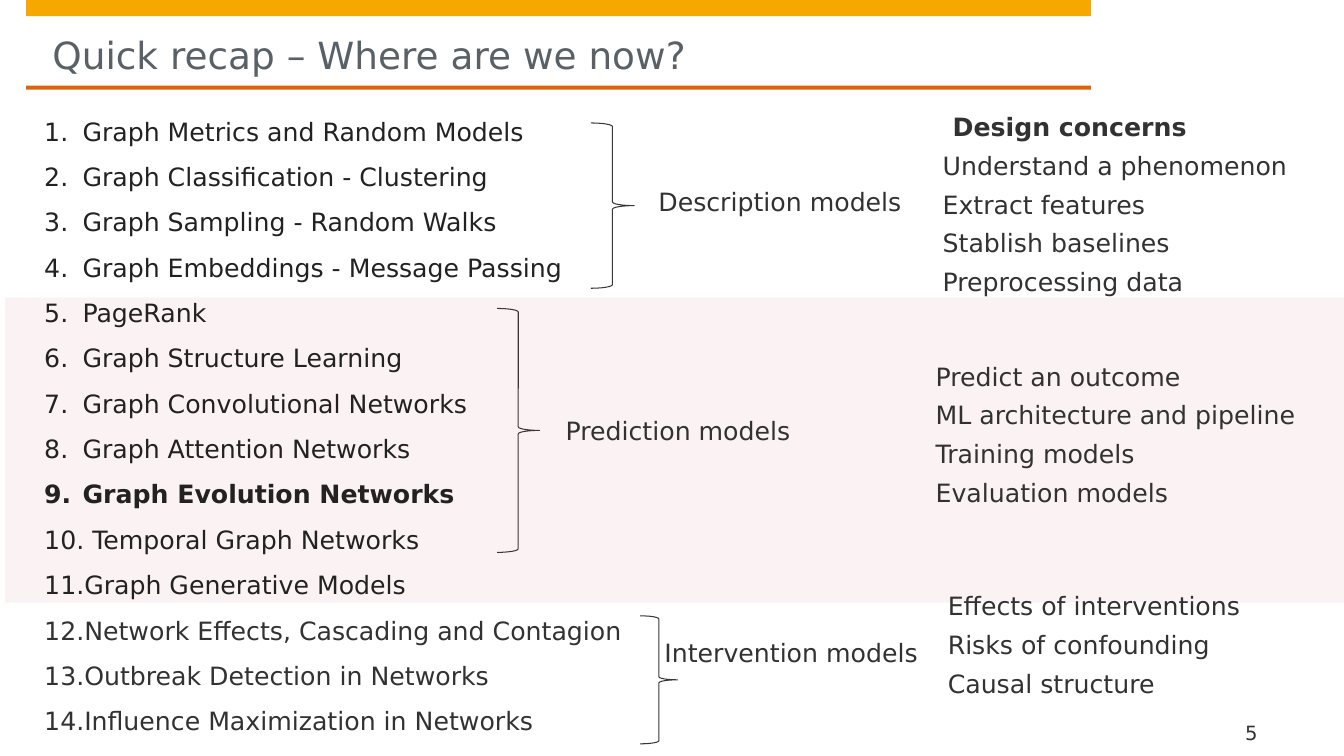
import pptx
import pptx.util
import pptx.dml.color
import pptx.enum.shapes
import pptx.enum.text
import pptx.oxml
import pptx.oxml.ns

Inches = pptx.util.Inches
kinds = pptx.enum.shapes.MSO_SHAPE
anchors = pptx.enum.text.MSO_ANCHOR


def color(code):
    return pptx.dml.color.RGBColor.from_string(code)


def write(box, lines, inset=(0, 0, 0, 0), size=18, anchor=anchors.TOP, gap=3, space=None):
    """Add a text box; each line is (text, colour, bold)."""
    frame = slide.shapes.add_textbox(*map(Inches, box)).text_frame
    sides = ("margin_left", "margin_top", "margin_right", "margin_bottom")
    look = dict(zip(sides, map(Inches, inset)), word_wrap=True, vertical_anchor=anchor)
    for name, value in look.items():
        setattr(frame, name, value)
    for i, (text, code, bold) in enumerate(lines):
        para = frame.paragraphs[0] if i == 0 else frame.add_paragraph()
        form = {"space_before": pptx.util.Pt(gap), "space_after": pptx.util.Pt(gap),
                "line_spacing": space}
        for name, value in form.items():
            setattr(para, name, value)
        run = para.add_run()
        run.text = text
        face = {"name": "DejaVu Sans", "size": pptx.util.Pt(size), "bold": bold}
        for name, value in face.items():
            setattr(run.font, name, value)
        run.font.color.rgb = color(code)
    return frame


deck = pptx.Presentation()
deck.slide_width, deck.slide_height = Inches(13.33), Inches(7.5)
slide = deck.slides.add_slide(deck.slide_layouts[6])

ink, dark = "323232", "222222"

# Title bars and the pale band
bars = [
    ((0.26, 0, 10.56, 0.16), "F6A800", None),
    ((0.26, 0.85, 10.56, 0.04), "DD640C", None),
    ((0.05, 2.95, 13.33, 3.03), "B1063A", 5),
]
for box, code, alpha in bars:
    bar = slide.shapes.add_shape(kinds.RECTANGLE, *map(Inches, box))
    bar.shadow.inherit = False
    bar.fill.solid()
    bar.fill.fore_color.rgb = color(code)
    bar.line.fill.background()
    if alpha:
        tint = bar.fill._xPr.find(".//" + pptx.oxml.ns.qn("a:srgbClr"))
        node = pptx.oxml.parse_xml(f'<a:alpha {pptx.oxml.ns.nsdecls("a")} val="{alpha * 1000}"/>')
        tint.append(node)

# Title and page number
write((0.52, 0.16, 10.03, 0.61), [("Quick recap – Where are we now?", "5A6166", False)],
      inset=(0, 0.16, 0, 0), size=26.7, gap=0)
write((12.23, 7.09, 0.84, 0.29), [("5", ink, False)],
      inset=(0.12, 0, 0, 0), size=14, anchor=anchors.BOTTOM, gap=0)

# Numbered topics
topics = [
    "Graph Metrics and Random Models",
    "Graph Classification - Clustering",
    "Graph Sampling - Random Walks",
    "Graph Embeddings - Message Passing",
    "PageRank",
    "Graph Structure Learning",
    "Graph Convolutional Networks",
    "Graph Attention Networks",
    "Graph Evolution Networks",
    " Temporal Graph Networks",
    "Graph Generative Models",
    "Network Effects, Cascading and Contagion",
    "Outbreak Detection in Networks",
    "Influence Maximization in Networks",
]
rows = [(text, dark if i < 11 else ink, i == 8) for i, text in enumerate(topics)]
frame = write((0.34, 0.95, 6.09, 7.31), rows, inset=(0.1, 0.05, 0.1, 0.05), gap=0, space=1.5)
for para in frame.paragraphs:
    props = para._p.get_or_add_pPr()
    for name, value in {"marL": 0.38, "indent": -0.38}.items():
        props.set(name, str(Inches(value)))
    props.append(pptx.oxml.parse_xml(
        f'<a:buAutoNum {pptx.oxml.ns.nsdecls("a")} type="arabicPeriod"/>'))

# Braces
for box in [(5.86, 1.22, 0.43, 1.64), (4.93, 3.06, 0.42, 2.42), (6.35, 6.11, 0.37, 1.27)]:
    brace = slide.shapes.add_shape(kinds.RIGHT_BRACE, *map(Inches, box))
    brace.shadow.inherit = False
    brace.fill.background()
    brace.line.color.rgb = color("373737")
    brace.line.width = pptx.util.Pt(0.75)

# Model names and their design concerns
write((9.35, 1.06, 2.98, 0.4), [("Design concerns", ink, True)], inset=(0.1, 0.05, 0.1, 0.05))
notes = [
    ((6.53, 1.85, 3.51, 0.4), ["Description models"]),
    ((5.61, 4.12, 2.49, 0.35), ["Prediction models"]),
    ((6.59, 6.32, 2.64, 0.35), ["Intervention models"]),
    ((9.35, 1.49, 3.44, 1.56), ["Understand a phenomenon", "Extract features",
                                "Stablish baselines", "Preprocessing data"]),
    ((9.28, 3.58, 3.71, 1.48), ["Predict an outcome", "ML architecture and pipeline",
                                "Training models", "Evaluation models"]),
    ((9.4, 5.86, 3.08, 1.48), ["Effects of interventions", "Risks of confounding",
                               "Causal structure"]),
]
for box, texts in notes:
    write(box, [(text, ink, False) for text in texts])

deck.save("out.pptx")
